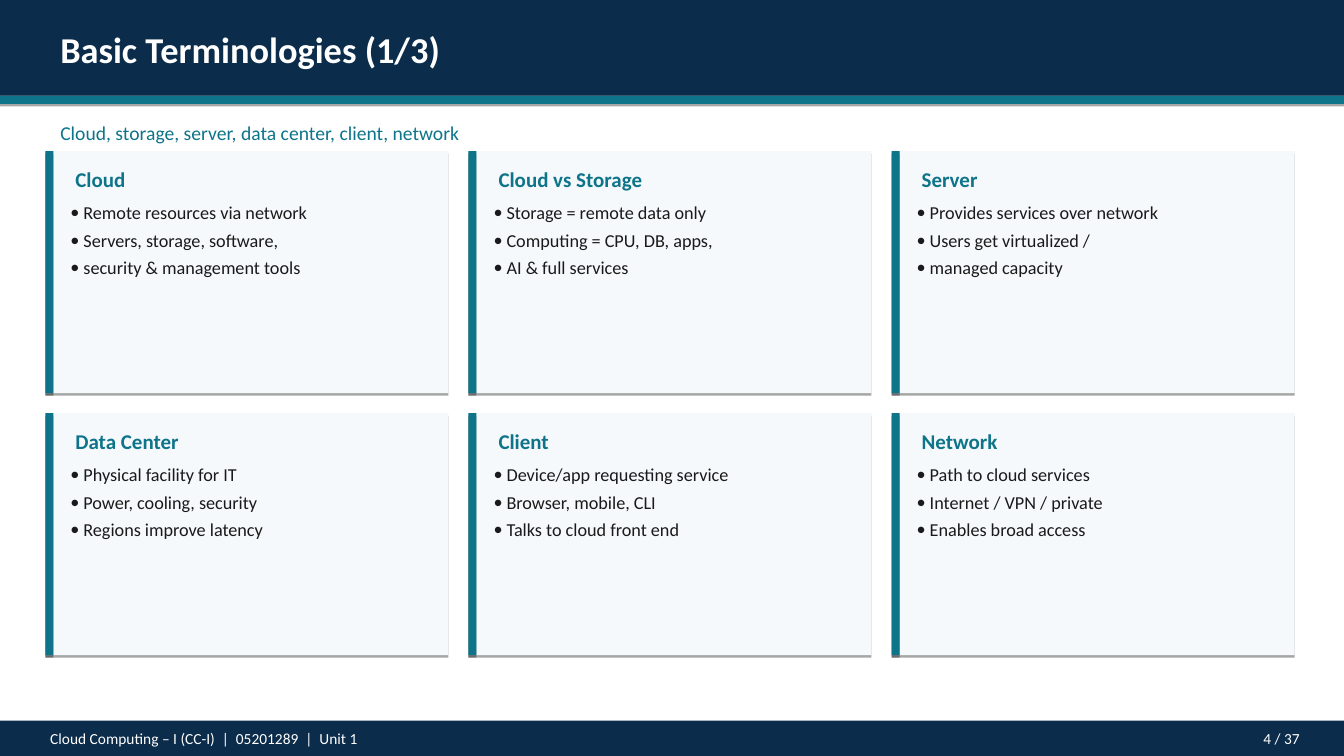
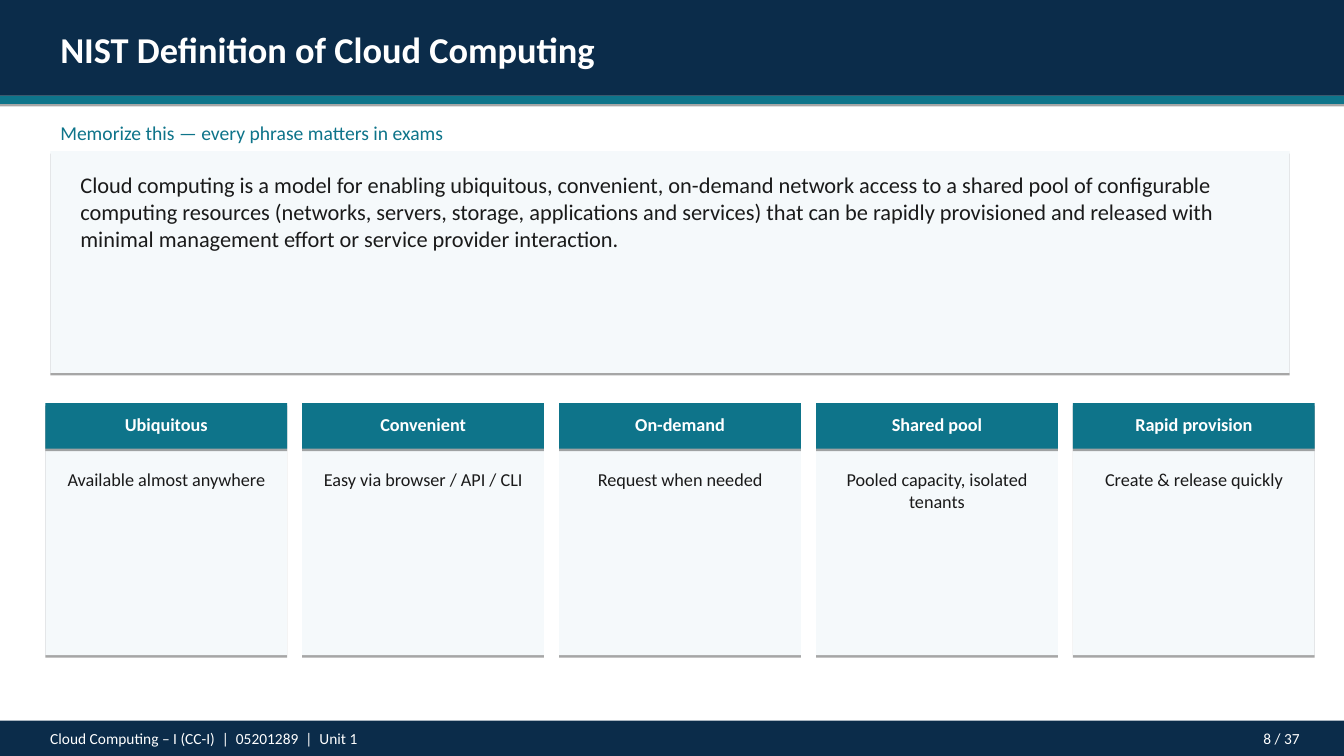
from lxml import etree
from pptx import Presentation
from pptx import util as u
from pptx.dml.color import RGBColor
from pptx.enum import shapes, text
from pptx.oxml import ns

PX = 9144
WIDE, HIGH = 1334, 750
NAVY = RGBColor(0x0B, 0x2C, 0x4A)
TEAL = RGBColor(0x0E, 0x74, 0x8A)
PALE = RGBColor(0xF5, 0xF9, 0xFB)
INK = RGBColor(0x1A, 0x1A, 0x1A)
WHITE = RGBColor(0xFF, 0xFF, 0xFF)
LEFT, MID, RIGHT = text.PP_ALIGN.LEFT, text.PP_ALIGN.CENTER, text.PP_ALIGN.RIGHT

TITLE = {"size": u.Pt(26), "bold": True}
SUB = {"size": u.Pt(14)}
FOOT = {"size": u.Pt(11)}
HEAD = {"size": u.Pt(15), "bold": True}
LEAD = {"size": u.Pt(16)}
BODY = {"size": u.Pt(13)}
LABEL = {"size": u.Pt(13), "bold": True}

COURSE = "Cloud Computing – I (CC-I)  |  05201289  |  Unit 1"
TOTAL = 37

TERMS = [
    ("Cloud", ["Remote resources via network", "Servers, storage, software,",
               "security & management tools"]),
    ("Cloud vs Storage", ["Storage = remote data only", "Computing = CPU, DB, apps,",
                          "AI & full services"]),
    ("Server", ["Provides services over network", "Users get virtualized /",
                "managed capacity"]),
    ("Data Center", ["Physical facility for IT", "Power, cooling, security",
                     "Regions improve latency"]),
    ("Client", ["Device/app requesting service", "Browser, mobile, CLI",
                "Talks to cloud front end"]),
    ("Network", ["Path to cloud services", "Internet / VPN / private",
                 "Enables broad access"]),
]
NIST = (
    "Cloud computing is a model for enabling ubiquitous, convenient, on-demand "
    "network access to a shared pool of configurable computing resources (networks, "
    "servers, storage, applications and services) that can be rapidly provisioned and "
    "released with minimal management effort or service provider interaction."
)
TRAITS = [
    ("Ubiquitous", "Available almost anywhere"),
    ("Convenient", "Easy via browser / API / CLI"),
    ("On-demand", "Request when needed"),
    ("Shared pool", "Pooled capacity, isolated tenants"),
    ("Rapid provision", "Create & release quickly"),
]


def emu(*px):
    """Turn px lengths into EMU."""
    return [u.Emu(n * PX) for n in px]


def add(node, tag, **attrs):
    """Append a drawing element with the given attributes."""
    return etree.SubElement(node, ns.qn(tag), attrs)


def block(slide, box, color):
    """Draw a plain filled rectangle with a thin shadow below it."""
    rect = slide.shapes.add_shape(shapes.MSO_SHAPE.RECTANGLE, *emu(*box))
    rect.fill.solid()
    rect.fill.fore_color.rgb = color
    rect.line.fill.background()
    rect.shadow.inherit = False
    fx = rect._element.spPr.find(ns.qn("a:effectLst"))
    cast = add(fx, "a:outerShdw", blurRad="0", dist="23000", dir="5400000",
               rotWithShape="0")
    add(add(cast, "a:srgbClr", val="000000"), "a:alpha", val="35000")


def write(slide, box, lines, style, color, align=LEFT, dots=False):
    """Place a wrapping text box with one paragraph for each line."""
    frame = slide.shapes.add_textbox(*emu(*box)).text_frame
    frame.word_wrap = True
    frame.auto_size = text.MSO_AUTO_SIZE.SHAPE_TO_FIT_TEXT
    for i, line in enumerate(lines):
        para = frame.paragraphs[0] if i == 0 else frame.add_paragraph()
        para.alignment = align
        if dots:
            para.space_after = u.Pt(4)
            props = para._p.get_or_add_pPr()
            props.set("marL", str(13 * PX))
            props.set("indent", str(-13 * PX))
            add(props, "a:buFont", typeface="Calibri")
            add(props, "a:buChar", char="•")
        run = para.add_run()
        run.text = line
        for key, val in {"name": "Calibri", **style}.items():
            setattr(run.font, key, val)
        run.font.color.rgb = color


def base(deck, title, sub, page):
    """Add a slide with the shared bands, title, subtitle and footer."""
    slide = deck.slides.add_slide(deck.slide_layouts[6])
    fill = slide.background.fill
    fill.solid()
    fill.fore_color.rgb = WHITE
    block(slide, (0, 0, WIDE, 95), NAVY)
    block(slide, (0, 95, WIDE, 8), TEAL)
    write(slide, (50, 22, 1150, 53), [title], TITLE, WHITE)
    write(slide, (50, 115, 1200, 33), [sub], SUB, TEAL)
    block(slide, (0, HIGH - 35, WIDE, 35), NAVY)
    write(slide, (40, HIGH - 32, 900, 28), [COURSE], FOOT, WHITE)
    write(slide, (1120, HIGH - 32, 180, 28), [f"{page} / {TOTAL}"], FOOT, WHITE, RIGHT)
    return slide


def card(slide, box, head, lines):
    """Draw a term card with an accent bar, heading and bullets."""
    x, y, w, h = box
    block(slide, box, PALE)
    block(slide, (x, y, 8, h), TEAL)
    write(slide, (x + 20, y + 10, w - 30, 35), [head], HEAD, TEAL)
    write(slide, (x + 15, y + 45, w - 25, 87), lines, BODY, INK, dots=True)


def quote(slide, box, words):
    """Draw a pale panel that holds a definition."""
    x, y, w, h = box
    block(slide, box, PALE)
    write(slide, (x + 20, y + 15, w - 40, 90), [words], LEAD, INK)


def pillar(slide, box, head, note):
    """Draw a column with a teal header and a centred note."""
    x, y, w, h = box
    block(slide, box, PALE)
    block(slide, (x, y, w, 45), TEAL)
    write(slide, (x + 10, y + 5, w - 20, 32), [head], LABEL, WHITE, MID)
    write(slide, (x + 10, y + 60, w - 20, 32), [note], BODY, INK, MID)


def terms(deck):
    """Build the slide of term cards in a grid of three columns."""
    slide = base(deck, "Basic Terminologies (1/3)",
                 "Cloud, storage, server, data center, client, network", 4)
    w, h, gap = 400, 240, 20
    for i, (head, lines) in enumerate(TERMS):
        row, col = divmod(i, 3)
        card(slide, (45 + col * (w + gap), 150 + row * (h + gap), w, h), head, lines)


def nist(deck):
    """Build the slide with the definition and its key traits."""
    slide = base(deck, "NIST Definition of Cloud Computing",
                 "Memorize this — every phrase matters in exams", 8)
    quote(slide, (50, 150, 1230, 220), NIST)
    w, gap = 240, 15
    for i, (head, note) in enumerate(TRAITS):
        pillar(slide, (45 + i * (w + gap), 400, w, 250), head, note)


def main():
    """Build and save the deck."""
    deck = Presentation()
    deck.slide_width, deck.slide_height = emu(WIDE, HIGH)
    terms(deck)
    nist(deck)
    deck.save("out.pptx")


if __name__ == "__main__":
    main()
